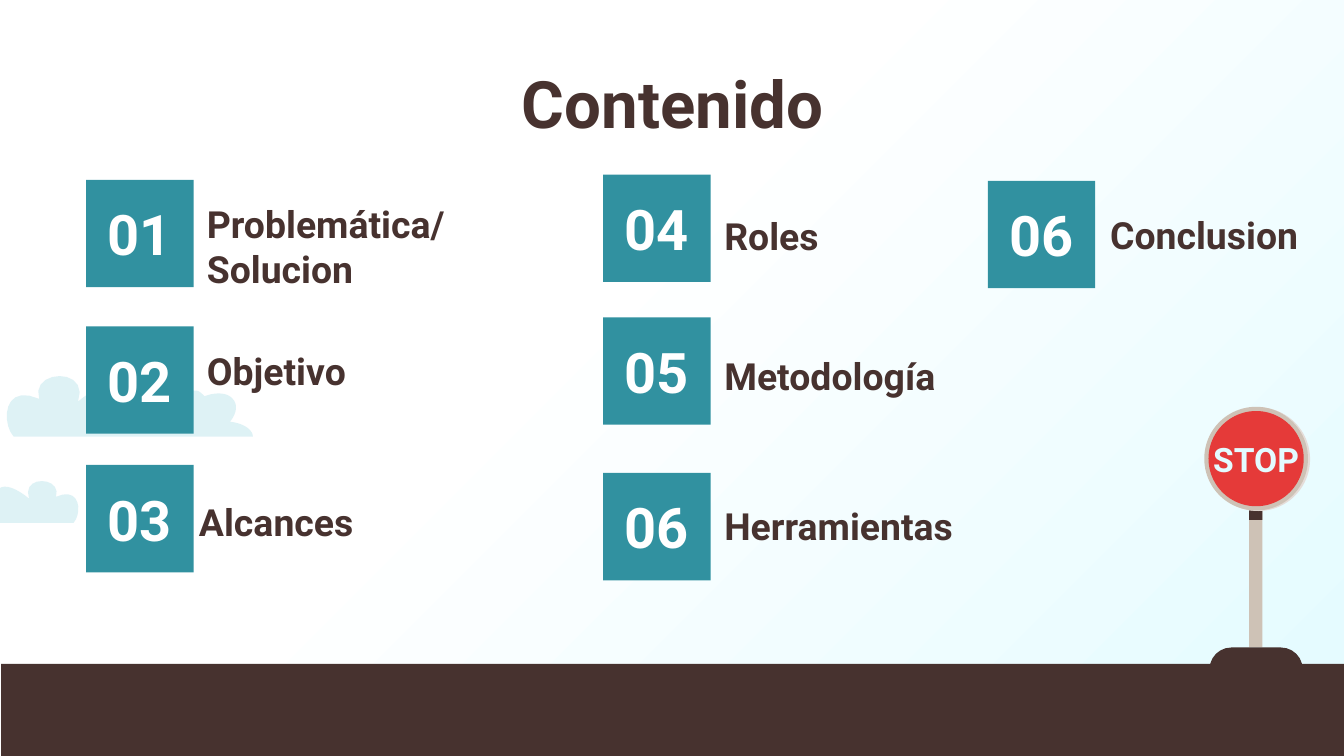
from pptx import Presentation
from pptx.dml.color import RGBColor
from pptx.enum.shapes import MSO_SHAPE as Shape
from pptx.enum.text import MSO_ANCHOR as Anchor, MSO_AUTO_SIZE as AutoSize, PP_ALIGN as Align
from pptx.oxml.ns import qn
from pptx.util import Cm, Pt
from lxml.etree import SubElement

COLORS = {"brown": "47322F", "teal": "3191A0", "white": "FFFFFF", "sky": "E3FBFF",
          "cloud": "5EBFD1", "sand": "CEC2B6", "pale": "E5DDD9", "red": "E53A39"}
FONT = "Roboto"
WIDTH, HEIGHT = 25.4, 14.29
TILE = 2.03

# Tile left, label width, then entries:
# number, label lines, tile top, label left, label top, label height, anchor
COLUMNS = [
    (1.63, 6.1, [
        ("01", ["Problemática/", "Solucion"], 3.4, 3.66, 3.51, 2.24, Anchor.BOTTOM),
        ("02", ["Objetivo"], 6.17, 3.66, 6.43, 1.24, Anchor.BOTTOM),
        ("03", ["Alcances"], 8.79, 3.51, 9.3, 1.24, Anchor.BOTTOM),
    ]),
    (11.4, 6.1, [
        ("04", ["Roles"], 3.3, 13.44, 3.78, 1.37, Anchor.TOP),
        ("05", ["Metodología"], 6, 13.44, 6.53, 1.24, Anchor.BOTTOM),
        ("06", ["Herramientas"], 8.94, 13.44, 9.27, 1.37, Anchor.TOP),
    ]),
    (18.67, 4.45, [
        ("06", ["Conclusion"], 3.42, 20.73, 3.76, 1.37, Anchor.TOP),
    ]),
]

# Sign parts from back to front: shape, left, top, width, height, color
SIGN = [
    (Shape.RECTANGLE, 23.61, 9.14, 0.25, 3.1, "sand"),
    (Shape.RECTANGLE, 23.61, 9.65, 0.25, 0.18, "brown"),
    (Shape.ROUNDED_RECTANGLE, 22.86, 12.24, 1.76, 0.82, "brown"),
    (Shape.OVAL, 22.8, 7.7, 1.96, 1.96, "pale"),
    (Shape.OVAL, 22.76, 7.69, 1.96, 1.96, "sand"),
    (Shape.OVAL, 22.84, 7.77, 1.8, 1.8, "red"),
]

# Cloud outline on a 187 by 52 grid: two control points and an end point per curve
CLOUD_WIDTH = 187
CLOUD_START = (187, 52)
CLOUD_CURVES = [
    ((187, 47), (180, 42), (170, 41)), ((175, 35), (176, 28), (172, 24)),
    ((168, 19), (159, 19), (151, 22)), ((149, 20), (148, 19), (146, 18)),
    ((140, 17), (134, 19), (131, 25)), ((129, 24), (127, 24), (125, 24)),
    ((117, 23), (109, 25), (108, 30)), ((107, 30), (106, 30), (105, 30)),
    ((103, 26), (98, 24), (92, 24)), ((93, 23), (93, 20), (92, 19)),
    ((86, 5), (65, 19), (57, 26)), ((66, 0), (21, 2), (28, 24)),
    ((1, 12), (0, 42), (9, 52)),
]
CURVE_STEPS = 10


def rgb(name):
    return RGBColor.from_string(COLORS[name])


def paint(shape, color):
    shape.shadow.inherit = False
    shape.fill.solid()
    shape.fill.fore_color.rgb = rgb(color)
    shape.line.fill.background()


def add_block(slide, kind, left, top, width, height, color):
    block = slide.shapes.add_shape(kind, Cm(left), Cm(top), Cm(width), Cm(height))
    paint(block, color)
    if kind == Shape.ROUNDED_RECTANGLE:
        block.adjustments[0] = 0.5
    return block


def write(shape, lines, size, color, align=Align.LEFT, anchor=Anchor.TOP, inset=0.25):
    frame = shape.text_frame
    settings = {"word_wrap": True, "auto_size": AutoSize.NONE, "vertical_anchor": anchor}
    settings.update({f"margin_{side}": Cm(inset) for side in ("left", "top", "right", "bottom")})
    for name, value in settings.items():
        setattr(frame, name, value)
    frame.text = "\n".join(lines)
    for para in frame.paragraphs:
        para.alignment = align
        para.line_spacing = 1.0
        para.space_before = Pt(0)
        for name, value in {"name": FONT, "size": Pt(size), "bold": True}.items():
            setattr(para.font, name, value)
        para.font.color.rgb = rgb(color)


def add_text(slide, left, top, width, height, lines, size, color, **layout):
    box = slide.shapes.add_textbox(Cm(left), Cm(top), Cm(width), Cm(height))
    write(box, lines, size, color, **layout)


def cloud_points():
    """Return the cloud outline with each cubic curve split into short lines."""
    points = [CLOUD_START]
    for first, second, end in CLOUD_CURVES:
        start = points[-1]
        for step in range(1, CURVE_STEPS + 1):
            t = step / CURVE_STEPS
            weights = ((1 - t) ** 3, 3 * t * (1 - t) ** 2, 3 * t ** 2 * (1 - t), t ** 3)
            corners = (start, first, second, end)
            points.append(tuple(sum(w * c[axis] for w, c in zip(weights, corners))
                                for axis in (0, 1)))
    return points


def add_cloud(slide, left, top, width, mirrored=False):
    unit = width / CLOUD_WIDTH
    points = [(Cm(left + unit * (CLOUD_WIDTH - x if mirrored else x)), Cm(top + unit * y))
              for x, y in cloud_points()]
    builder = slide.shapes.build_freeform(*points[0])
    builder.add_line_segments(points[1:], close=True)
    cloud = builder.convert_to_shape()
    paint(cloud, "cloud")
    tint = cloud.fill._xPr.find(".//" + qn("a:srgbClr"))
    SubElement(tint, qn("a:alpha"), val="20000")


def set_background(slide):
    fill = slide.background.fill
    fill.gradient()
    fill.gradient_angle = 315
    for stop, (position, color) in zip(fill.gradient_stops, [(0.41, "white"), (1, "sky")]):
        stop.position = position
        stop.color.rgb = rgb(color)


def add_title(slide, text):
    title = slide.shapes.title
    for name, value in {"left": 2.01, "top": 0.94, "width": 21.41, "height": 1.9}.items():
        setattr(title, name, Cm(value))
    write(title, [text], 35, "brown", align=Align.CENTER)


def main():
    deck = Presentation()
    deck.slide_width, deck.slide_height = Cm(WIDTH), Cm(HEIGHT)
    slide = deck.slides.add_slide(deck.slide_layouts[5])
    set_background(slide)
    add_title(slide, "Contenido")

    add_cloud(slide, -1.73, 8.97, 3.28, mirrored=True)
    add_block(slide, Shape.RECTANGLE, 0.02, 12.55, WIDTH - 0.02, HEIGHT - 12.55, "brown")
    for part in SIGN:
        add_block(slide, *part)
    add_text(slide, 22.76, 8.17, 1.96, 1, ["STOP"], 18, "sky",
             align=Align.CENTER, anchor=Anchor.MIDDLE, inset=0)
    add_cloud(slide, 0.03, 6.93, 4.75)

    for tile_left, label_width, entries in COLUMNS:
        for number, lines, tile_top, label_left, label_top, label_height, anchor in entries:
            tile = add_block(slide, Shape.RECTANGLE, tile_left, tile_top, TILE, TILE, "teal")
            write(tile, [number], 30, "white", align=Align.CENTER, anchor=Anchor.MIDDLE)
            add_text(slide, label_left, label_top, label_width, label_height,
                     lines, 20, "brown", anchor=anchor)

    deck.save("out.pptx")


if __name__ == "__main__":
    main()
